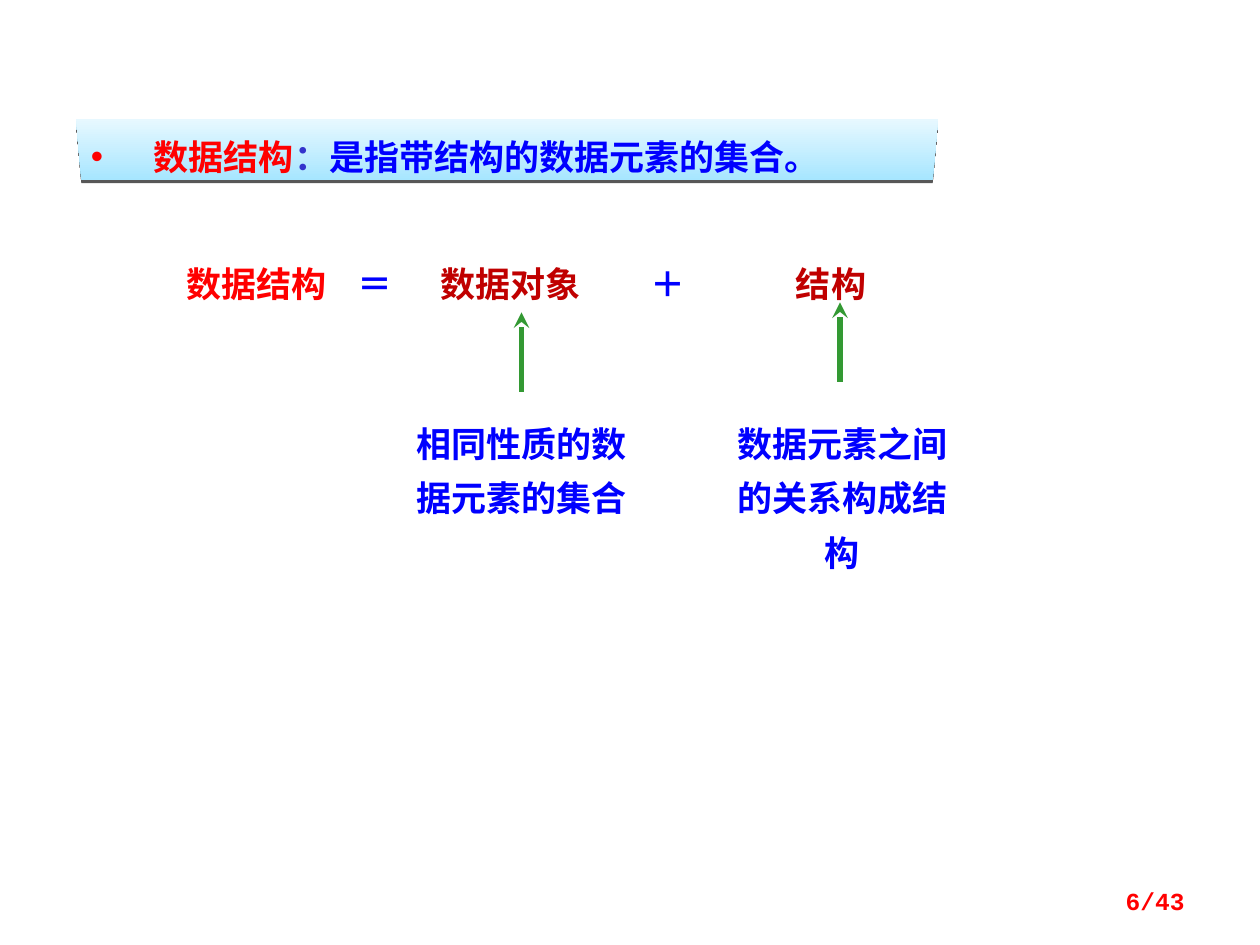
"""Build the slide that defines a data structure as objects plus structure."""
from lxml import etree
from pptx import Presentation
from pptx.dml.color import RGBColor
from pptx.enum.shapes import MSO_CONNECTOR
from pptx.enum.text import MSO_ANCHOR, PP_ALIGN
from pptx.oxml.ns import qn
from pptx.util import Pt

LINE = MSO_CONNECTOR.STRAIGHT
LEFT, MID, RIGHT = PP_ALIGN.LEFT, PP_ALIGN.CENTER, PP_ALIGN.RIGHT
TOP, CENTRE = MSO_ANCHOR.TOP, MSO_ANCHOR.MIDDLE
CJK, SERIF, MONO = "Noto Sans CJK SC", "Times New Roman", "Courier New"
HUES = {"red": "FF0000", "blue": "0000FF", "dark": "C00000", "ink": "3333CC",
        "green": "339933", "low": "A7E6FF", "high": "E7F8FF", "shade": "000000"}


def hue(name):
    return RGBColor.from_string(HUES[name])


def write(shape, runs, align, gap, font=CJK, size=20, anchor=TOP):
    frame = shape.text_frame
    frame.word_wrap = True
    frame.vertical_anchor = anchor
    para = frame.paragraphs[0]
    para.alignment = align
    if gap:
        para.line_spacing = Pt(gap)
    para.font.name = font
    para.font.size = Pt(size)
    para.font.bold = True
    para.font.color.rgb = hue(runs[0][1])
    if font != MONO:
        etree.SubElement(para.font._element, qn("a:ea"), typeface=CJK)
    for text, tone, face in runs:
        run = para.add_run()
        run.text = text
        if tone != runs[0][1]:
            run.font.color.rgb = hue(tone)
        if face != font:
            run.font.name = face


deck = Presentation()
deck.slide_width, deck.slide_height = Pt(720), Pt(540)
slide = deck.slides.add_slide(deck.slide_layouts[6])
shapes = slide.shapes

edge = [(536, 68), (533, 103), (46.5, 103)]
form = shapes.build_freeform(Pt(43.5), Pt(68), scale=1.0)
form.add_line_segments([(Pt(x), Pt(y)) for x, y in edge], close=True)
banner = form.convert_to_shape()
banner.shadow.inherit = False
banner.line.fill.background()
banner.fill.gradient()
banner.fill.gradient_angle = 90
for stop, tone in zip(banner.fill.gradient_stops, ("low", "high")):
    stop.color.rgb = hue(tone)
glow = banner._element.spPr.find(qn("a:effectLst"))
cast = etree.SubElement(glow, qn("a:outerShdw"), blurRad="0",
                        dist=str(Pt(1.6)), dir="5400000", rotWithShape="0")
shade = etree.SubElement(cast, qn("a:srgbClr"), val=HUES["shade"])
etree.SubElement(shade, qn("a:alpha"), val="65000")

frame = banner.text_frame
frame.margin_left = Pt(8.4)
frame.margin_top = Pt(3.6)
props = frame.paragraphs[0]._p.get_or_add_pPr()
props.set("marL", str(Pt(36)))
props.set("indent", str(Pt(-36)))
etree.SubElement(props, qn("a:buFont"), typeface="Arial")
etree.SubElement(props, qn("a:buChar"), char="•")
write(banner, [("数据结构", "red", CJK), ("：", "ink", SERIF),
               ("是指带结构的数据元素的集合。", "blue", CJK)], LEFT, 30)

sums = shapes.add_textbox(Pt(73.5), Pt(146), Pt(456), Pt(25))
frame = sums.text_frame
frame.margin_left, frame.margin_top, frame.margin_bottom = Pt(32.8), Pt(5.8), 0
props = frame.paragraphs[0]._p.get_or_add_pPr()
tabs = etree.SubElement(props, qn("a:tabLst"))
for spot in (108, 185.7, 275.4, 368.6):
    etree.SubElement(tabs, qn("a:tab"), pos=str(Pt(spot)), algn="ctr")
write(sums, [("数据结构", "red", CJK), ("\t＝\t", "blue", SERIF),
             ("数据对象", "dark", SERIF), ("\t＋\t", "blue", SERIF),
             ("结构", "dark", SERIF)], LEFT, 22)

for x, y in ((298, 178.5), (480, 172.8)):
    arrow = shapes.add_connector(LINE, Pt(x), Pt(y + 45.4), Pt(x), Pt(y))
    arrow.line.color.rgb = hue("green")
    arrow.line.width = Pt(3)
    etree.SubElement(arrow.line._get_or_add_ln(), qn("a:tailEnd"), type="stealth")
    etree.SubElement(arrow._element.spPr, qn("a:effectLst"))

for x, wide, text in ((405.4, 152, "数据元素之间的关系构成结构"),
                      (230.4, 135.6, "相同性质的数据元素的集合")):
    note = shapes.add_textbox(Pt(x), Pt(231), Pt(wide), Pt(97))
    write(note, [(text, "blue", CJK)], MID, 31)

page = shapes.add_textbox(Pt(516), Pt(500), Pt(168), Pt(29))
write(page, [("6/43", "red", MONO)], RIGHT, None, MONO, 14, CENTRE)

deck.save("out.pptx")
